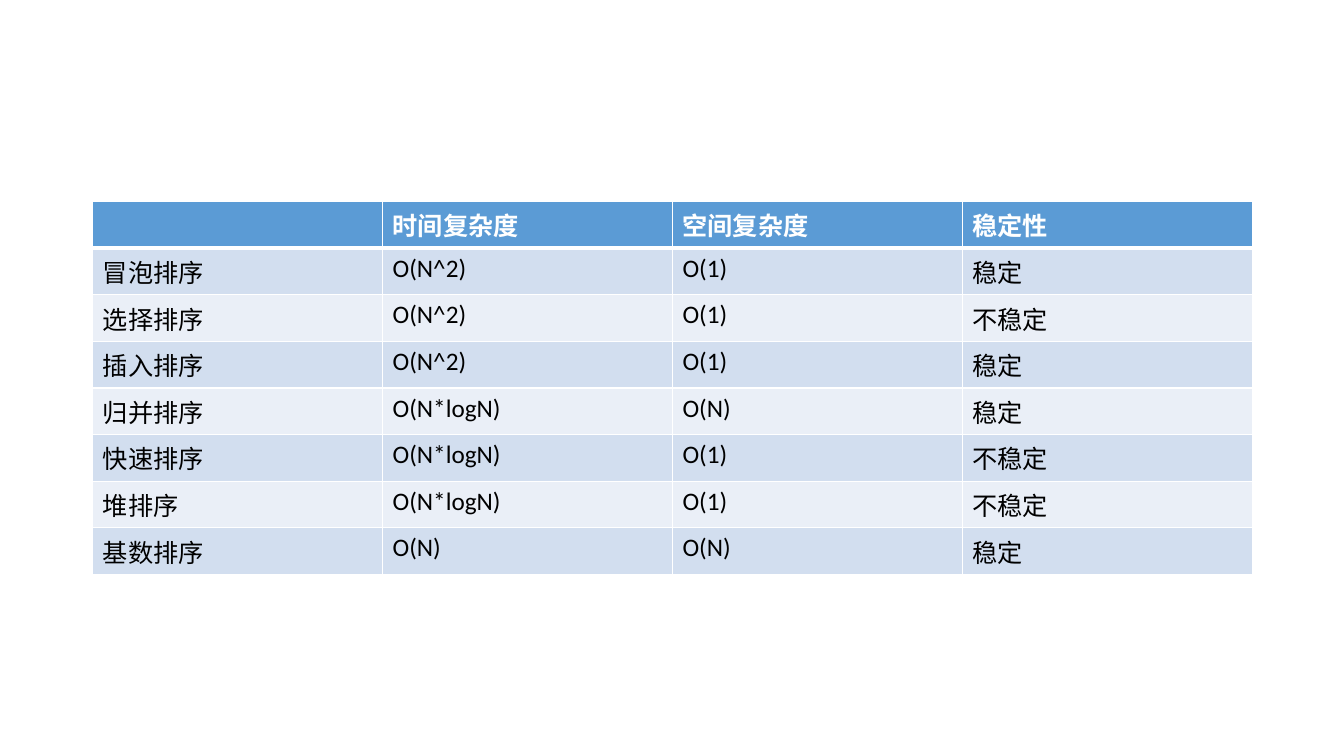
"""Build a slide with a table comparing the complexity and stability of sorting algorithms."""
from lxml import etree
from pptx import Presentation
from pptx.dml.color import RGBColor
from pptx.oxml import ns
from pptx.util import Inches, Pt

HEADER = ("", "时间复杂度", "空间复杂度", "稳定性")
ALGORITHMS = [
    ("冒泡排序", "O(N^2)", "O(1)", "稳定"),
    ("选择排序", "O(N^2)", "O(1)", "不稳定"),
    ("插入排序", "O(N^2)", "O(1)", "稳定"),
    ("归并排序", "O(N*logN)", "O(N)", "稳定"),
    ("快速排序", "O(N*logN)", "O(1)", "不稳定"),
    ("堆排序", "O(N*logN)", "O(1)", "不稳定"),
    ("基数排序", "O(N)", "O(N)", "稳定"),
]
COLORS = {
    "header": "5B9BD5",
    "odd": "D2DEEF",
    "even": "EAEFF7",
    "border": "FFFFFF",
    "header_text": "FFFFFF",
    "text": "000000",
}
FONT = {"name": "Calibri", "size": Pt(18)}
LEFT, TOP, WIDTH, ROW_HEIGHT = 0.92, 2, 11.5, 0.41


def add_borders(cell, widths):
    """Draw solid borders, given a width in points for each side."""
    properties = cell._tc.get_or_add_tcPr()
    for side, width in widths.items():
        line = etree.SubElement(properties, ns.qn(f"a:ln{side}"), w=str(Pt(width)))
        fill = etree.SubElement(line, ns.qn("a:solidFill"))
        etree.SubElement(fill, ns.qn("a:srgbClr"), val=COLORS["border"])


def format_cell(cell, content, row_index):
    """Write the content of one cell and style it by its row."""
    is_header = row_index == 0
    band = "header" if is_header else ("even", "odd")[row_index % 2]
    add_borders(cell, {"L": 1, "R": 1, "T": 3 if row_index == 1 else 1, "B": 3 if is_header else 1})
    cell.fill.solid()
    cell.fill.fore_color.rgb = RGBColor.from_string(COLORS[band])
    cell.text = content
    font = cell.text_frame.paragraphs[0].font
    for run in cell.text_frame.paragraphs[0].runs:
        font = run.font
        for attribute, value in {**FONT, "bold": is_header}.items():
            setattr(font, attribute, value)
        font.color.rgb = RGBColor.from_string(COLORS["header_text" if is_header else "text"])


presentation = Presentation()
presentation.slide_width, presentation.slide_height = Inches(13.33), Inches(7.5)
slide = presentation.slides.add_slide(presentation.slide_layouts[6])

rows = [HEADER, *ALGORITHMS]
table = slide.shapes.add_table(
    len(rows), len(HEADER), Inches(LEFT), Inches(TOP), Inches(WIDTH), Inches(ROW_HEIGHT * len(rows))
).table
for row_index, row in enumerate(rows):
    for column_index, content in enumerate(row):
        format_cell(table.cell(row_index, column_index), content, row_index)

presentation.save("out.pptx")
